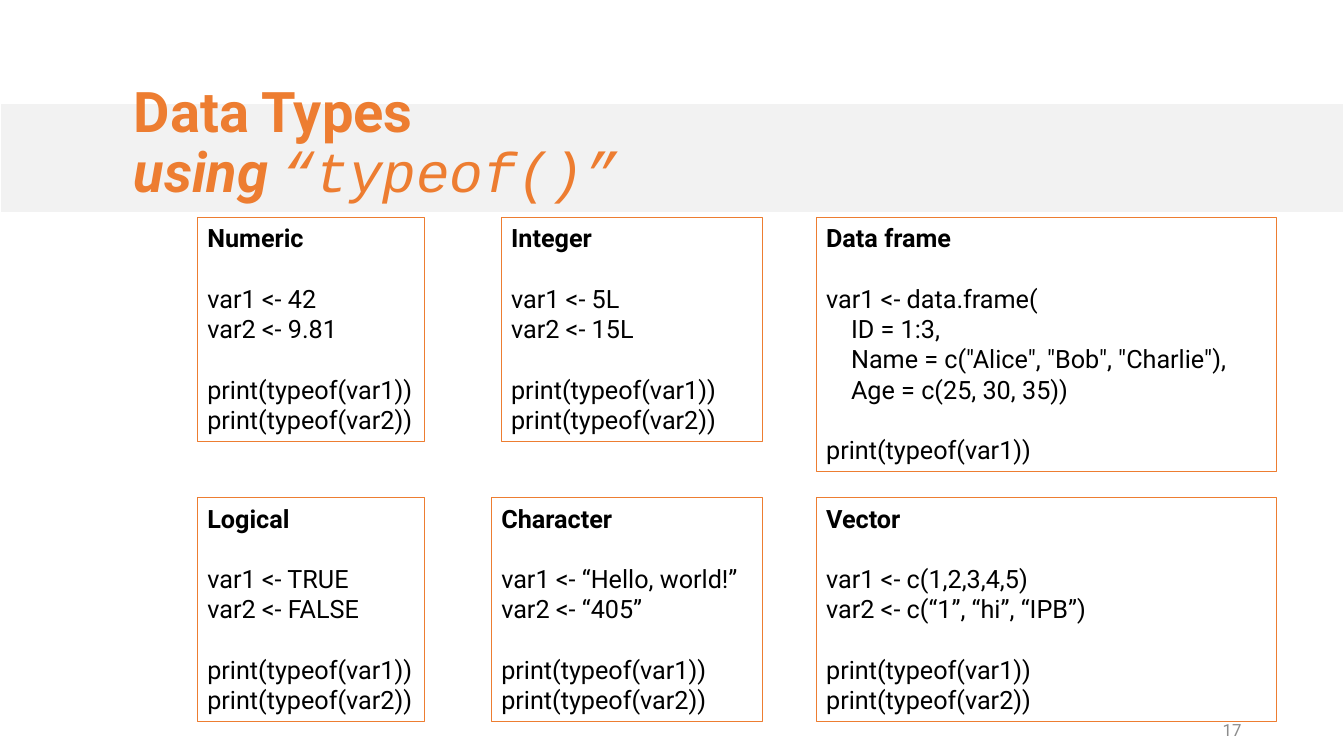
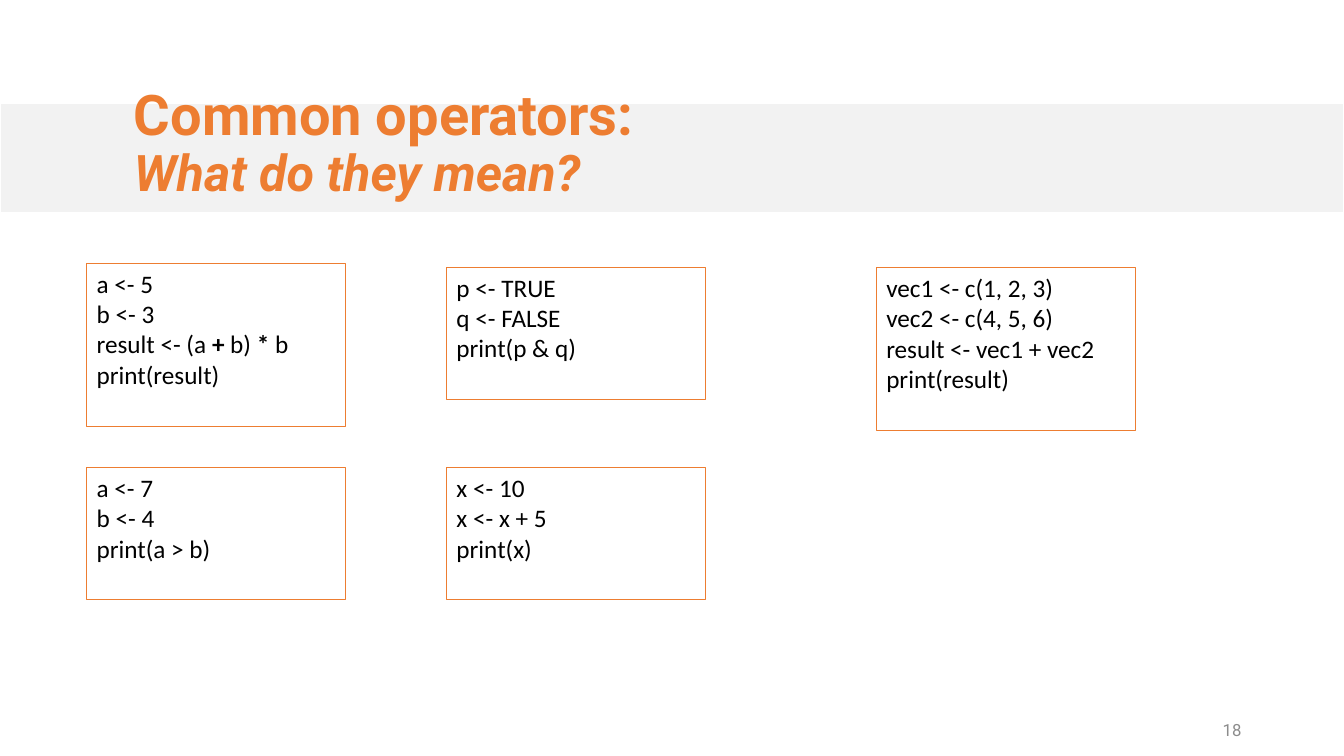
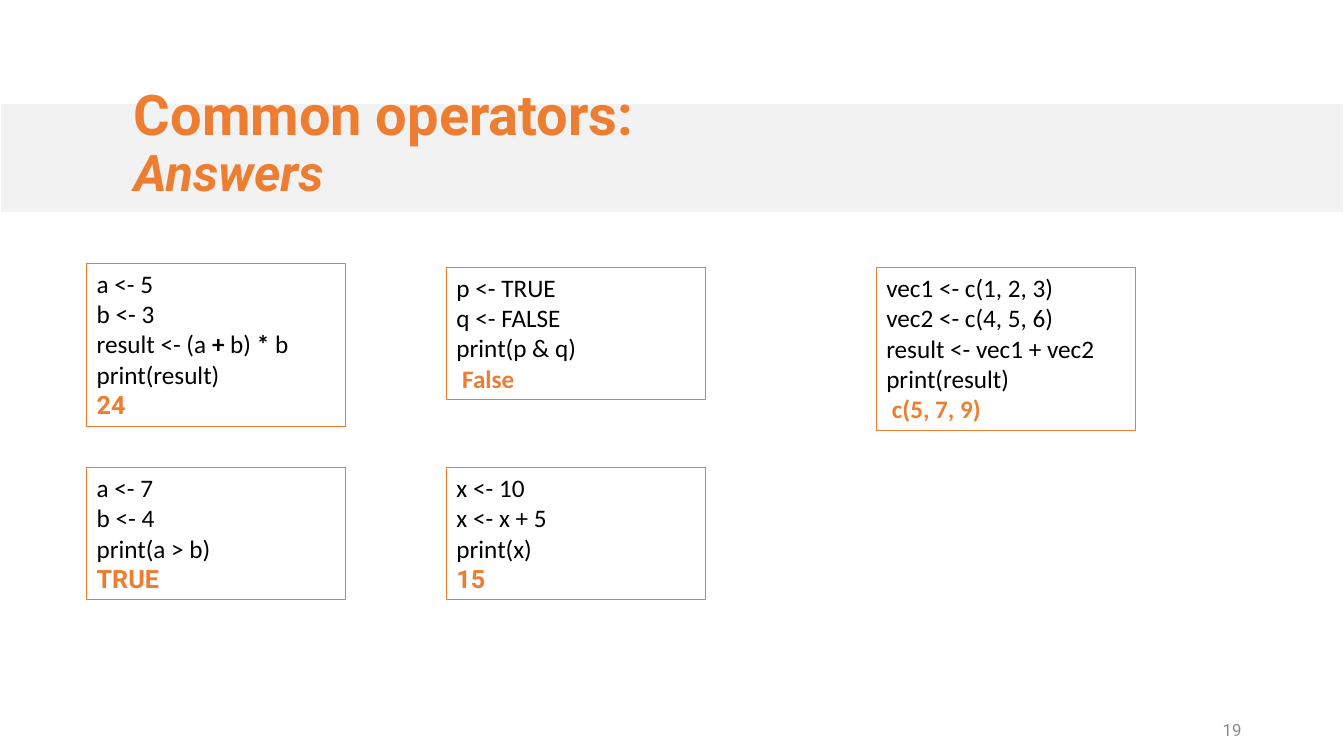
"""Build three slides on R data types and common operators."""
from dataclasses import dataclass

from pptx import Presentation
from pptx.dml.color import RGBColor
from pptx.enum.shapes import MSO_SHAPE
from pptx.enum.text import MSO_ANCHOR, MSO_AUTO_SIZE, PP_ALIGN
from pptx.util import Pt

RECTANGLE = MSO_SHAPE.RECTANGLE
TOP, MIDDLE, BOTTOM = MSO_ANCHOR.TOP, MSO_ANCHOR.MIDDLE, MSO_ANCHOR.BOTTOM
LEFT, RIGHT = PP_ALIGN.LEFT, PP_ALIGN.RIGHT
FIXED = MSO_AUTO_SIZE.NONE
TITLE_ONLY = 5


@dataclass(frozen=True)
class Theme:
    """Colours, fonts and type sizes of the deck."""
    accent: RGBColor = RGBColor(0xED, 0x7D, 0x31)
    ink: RGBColor = RGBColor(0, 0, 0)
    band: RGBColor = RGBColor(0xF2, 0xF2, 0xF2)
    band_edge: RGBColor = RGBColor(0xFF, 0xFF, 0xFF)
    muted: RGBColor = RGBColor(0x8C, 0x8C, 0x8C)
    main_font: str = "Roboto"
    code_font: str = "Calibri"
    mono_font: str = "Courier New"
    title_size: float = 40
    subtitle_size: float = 36
    body_size: float = 18
    number_size: float = 12
    line_gap: float = 21.6


THEME = Theme()

PRINT_ONE = "print(typeof(var1))"
PRINT_BOTH = [PRINT_ONE, "print(typeof(var2))"]

UPPER_ROW, LOWER_ROW = 155.5, 355.7
TYPE_BOXES = [
    ("Numeric", (141, UPPER_ROW, 162, 160),
     ["var1 <- 42", "var2 <- 9.81"], PRINT_BOTH),
    ("Integer", (358, UPPER_ROW, 187, 160),
     ["var1 <- 5L", "var2 <- 15L"], PRINT_BOTH),
    ("Character", (351, LOWER_ROW, 194, 160),
     ["var1 <- “Hello, world!”", "var2 <- “405”"], PRINT_BOTH),
    ("Logical", (141, LOWER_ROW, 162, 160),
     ["var1 <- TRUE", "var2 <- FALSE"], PRINT_BOTH),
    ("Vector", (583, LOWER_ROW, 328.5, 160),
     ["var1 <- c(1,2,3,4,5)", "var2 <- c(“1”, “hi”, “IPB”)"], PRINT_BOTH),
    ("Data frame", (583, UPPER_ROW, 328.5, 181.5),
     ["var1 <- data.frame(", "    ID = 1:3,",
      '    Name = c("Alice", "Bob", "Charlie"),',
      "    Age = c(25, 30, 35))"], [PRINT_ONE]),
]

OPERATOR_WIDTH = 185
SHORT, TALL = 94.4, 116.7
OPERATOR_BOXES = [
    ((62, 188, OPERATOR_WIDTH, TALL),
     [["a <- 5"], ["b <- 3"], ["result <- (a ", "+", " b) ", "* ", "b"],
      ["print(result)"]], "24", THEME.main_font),
    ((62, 334, OPERATOR_WIDTH, SHORT),
     [["a <- 7"], ["b <- 4"], ["print(a > b)"]], "TRUE", THEME.main_font),
    ((319, 191, OPERATOR_WIDTH, SHORT),
     [["p <- TRUE"], ["q <- FALSE"], ["print(p & q)"]],
     " False", THEME.code_font),
    ((319, 334, OPERATOR_WIDTH, SHORT),
     [["x <- 10"], ["x <- x + 5"], ["print(x)"]], "15", THEME.main_font),
    ((626, 191, OPERATOR_WIDTH, TALL),
     [["vec1 <- c(1, 2, 3)"], ["vec2 <- c(4, 5, 6)"],
      ["result <- vec1 + vec2 print(result)"]],
     " c(5, 7, 9)", THEME.code_font),
]


def points(*lengths):
    """Convert numbers to point lengths."""
    return [Pt(length) for length in lengths]


def add_run(paragraph, text, size=THEME.body_size, font=THEME.main_font,
            color=THEME.ink, bold=False, italic=False):
    """Append one formatted run."""
    run = paragraph.add_run()
    run.text = text
    run.font.size = Pt(size)
    run.font.name = font
    run.font.color.rgb = color
    run.font.bold = bold
    run.font.italic = italic


def set_frame(frame, anchor):
    """Give a text frame wrapping, a fixed size and an anchor."""
    frame.word_wrap = True
    frame.auto_size = FIXED
    frame.vertical_anchor = anchor


def add_lines(frame, lines):
    """Fill a frame with (runs, gap before) lines; a run is (text, format)."""
    for index, (runs, gap) in enumerate(lines):
        paragraph = frame.add_paragraph() if index else frame.paragraphs[0]
        paragraph.alignment = LEFT
        if gap:
            paragraph.space_before = Pt(gap)
        for text, style in runs:
            add_run(paragraph, text, **style)


def add_rectangle(slide, bounds, edge, weight):
    """Add an unfilled rectangle with a coloured edge."""
    rectangle = slide.shapes.add_shape(RECTANGLE, *points(*bounds))
    rectangle.shadow.inherit = False
    rectangle.fill.background()
    rectangle.line.color.rgb = edge
    rectangle.line.width = Pt(weight)
    return rectangle


def add_code_box(slide, bounds, lines):
    """Add an outlined box of code lines."""
    box = add_rectangle(slide, bounds, THEME.accent, 0.75)
    set_frame(box.text_frame, TOP)
    add_lines(box.text_frame, lines)


def add_band(slide):
    """Add the grey band behind the title."""
    band = add_rectangle(slide, (0, 73.5, 960, 78.5), THEME.band_edge, 1)
    band.fill.solid()
    band.fill.fore_color.rgb = THEME.band
    slide.shapes.title.element.addprevious(band.element)


def add_title(slide, heading, subtitle_runs):
    """Place the title with its italic second line."""
    title = slide.shapes.title
    title.left, title.top, title.width, title.height = points(
        88.5, 46, 440.5, 114.5)
    set_frame(title.text_frame, MIDDLE)
    paragraph = title.text_frame.paragraphs[0]
    paragraph.alignment = LEFT
    paragraph.line_spacing = 0.9
    add_run(paragraph, heading, THEME.title_size, color=THEME.accent, bold=True)
    paragraph.add_line_break()
    for text, size, font, bold in subtitle_runs:
        add_run(paragraph, text, size, font, THEME.accent, bold, True)


def add_slide_number(slide, number):
    """Add the page number at the lower right."""
    number_box = slide.shapes.add_textbox(*points(678, 500.5, 216, 28.8))
    frame = number_box.text_frame
    set_frame(frame, BOTTOM)
    frame.margin_bottom = Pt(0.7)
    frame.paragraphs[0].alignment = RIGHT
    add_run(frame.paragraphs[0], str(number), THEME.number_size,
            color=THEME.muted)


def start_slide(deck, number, heading, subtitle_runs):
    """Add a slide with the shared band, title and number."""
    slide = deck.slides.add_slide(deck.slide_layouts[TITLE_ONLY])
    add_band(slide)
    add_title(slide, heading, subtitle_runs)
    add_slide_number(slide, number)
    return slide


def build_types_slide(deck, number):
    """Show one code box per data type."""
    slide = start_slide(deck, number, "Data Types", [
        ("using ", THEME.title_size, THEME.main_font, True),
        ("“typeof()”", THEME.title_size, THEME.mono_font, False)])
    for type_name, bounds, assignments, prints in TYPE_BOXES:
        lines = [([(type_name, {"bold": True})], 0)]
        for block in (assignments, prints):
            lines += [([(code, {})], 0 if index else THEME.line_gap)
                      for index, code in enumerate(block)]
        add_code_box(slide, bounds, lines)


def build_operators_slide(deck, number, subtitle, with_answers):
    """Show the operator exercises, with their answers if wanted."""
    slide = start_slide(deck, number, "Common operators:", [
        (subtitle, THEME.subtitle_size, THEME.main_font, True)])
    for bounds, code_lines, answer, answer_font in OPERATOR_BOXES:
        lines = [([(part, {"font": THEME.code_font,
                           "bold": part.strip() in ("+", "*")})
                   for part in parts], 0) for parts in code_lines]
        if with_answers:
            answer_style = {"font": answer_font, "color": THEME.accent,
                            "bold": True}
            lines.append(([(answer, answer_style)], 0))
        add_code_box(slide, bounds, lines)


def main():
    """Build and save the deck."""
    deck = Presentation()
    deck.slide_width, deck.slide_height = points(960, 540)
    build_types_slide(deck, 17)
    build_operators_slide(deck, 18, "What do they mean?", False)
    build_operators_slide(deck, 19, "Answers", True)
    deck.save("out.pptx")


if __name__ == "__main__":
    main()
